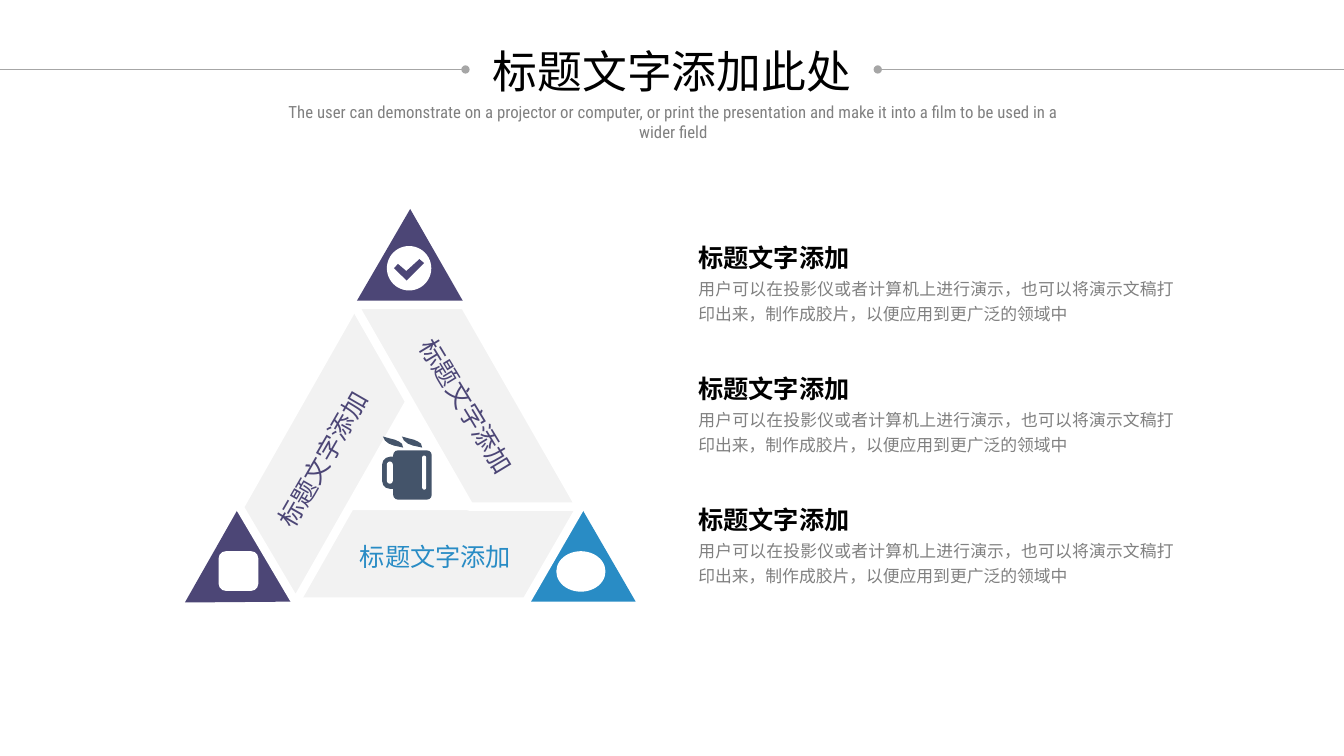
from lxml import etree
from pptx import Presentation
from pptx.dml.color import RGBColor
from pptx.enum.shapes import MSO_CONNECTOR, MSO_SHAPE
from pptx.enum.text import MSO_ANCHOR, MSO_AUTO_SIZE, PP_ALIGN
from pptx.oxml.ns import qn
from pptx.util import Cm, Pt

WHITE, BLACK, PALE, GREY, RULE = "FFFFFF", "000000", "F2F2F2", "808080", "A6A6A6"
PURPLE, BLUE, SLATE = "4C4676", "298CC5", "44546A"

TITLE = "标题文字添加此处"
SUBTITLE = ("The user can demonstrate on a projector or computer, or print the presentation "
            "and make it into a film to be used in a wider field")
HEADING = "标题文字添加"
DESCRIPTION = ("用户可以在投影仪或者计算机上进行演示，也可以将演示文稿打印出来，"
               "制作成胶片，以便应用到更广泛的领域中")
BLOCK_COUNT, BLOCK_LEFT, BLOCK_TOP, BLOCK_STEP = 3, 17.35, 5.84, 3.3

# Sides of the big triangle; positions are (left, top) in cm
SIDES = [
    {"corner": (13.23, 12.75), "band": (7.39, 12.75), "length": 7.26, "skew": 0.577,
     "turn": 0, "label": (8.08, 13.36), "label_turn": 0, "color": BLUE},
    {"corner": (5.0, 13.36), "band": (4.55, 10.19), "length": 7.32, "skew": 0.573,
     "turn": 119.6, "label": (5.18, 10.95), "label_turn": 299.9, "color": PURPLE},
    {"corner": (8.59, 5.87), "band": (8.15, 9.02), "length": 7.24, "skew": 0.573,
     "turn": 240.2, "label": (8.92, 9.6), "label_turn": 58.8, "color": PURPLE},
]
CORNER_WIDTH, BAND_HEIGHT = 2.79, 2.41
LABEL_SIZE = (5.79, 1.19)

# Icon parts: shape, box in cm, color, corner rounding
ICON_PARTS = [
    (MSO_SHAPE.OVAL, (14.02, 13.89, 1.24, 1.02), WHITE, None),
    (MSO_SHAPE.OVAL, (9.75, 6.2, 1.12, 1.12), WHITE, None),
    (MSO_SHAPE.ROUNDED_RECTANGLE, (5.51, 13.89, 1.0, 1.0), WHITE, 0.18),
    (MSO_SHAPE.ROUNDED_RECTANGLE, (9.63, 11.51, 0.5, 0.81), SLATE, 0.4),
    (MSO_SHAPE.ROUNDED_RECTANGLE, (9.75, 11.63, 0.15, 0.56), WHITE, 0.5),
    (MSO_SHAPE.ROUNDED_RECTANGLE, (9.91, 11.35, 0.97, 1.24), SLATE, 0.12),
    (MSO_SHAPE.ROUNDED_RECTANGLE, (10.64, 11.48, 0.1, 0.86), WHITE, 0.5),
]
CHECK = [(9.93, 6.76), (10.03, 6.65), (10.24, 6.83), (10.57, 6.53), (10.69, 6.63), (10.25, 7.07)]
STEAM = [(0, 0), (0.18, 0.05), (0.3, 0.08), (0.41, 0.13), (0.48, 0.18),
         (0.51, 0.28), (0.38, 0.25), (0.28, 0.23), (0.15, 0.18), (0.05, 0.1)]
STEAM_TOP, STEAM_LEFTS = 11.0, (9.65, 10.13)

RULE_TOP = 1.75
RULES = [(0, 11.73, "tailEnd"), (22.12, 33.87, "headEnd")]


def rgb(color):
    return RGBColor.from_string(color)


def paint(shape, color):
    """Give a shape a flat fill with neither outline nor shadow."""
    shape.shadow.inherit = False
    shape.fill.solid()
    shape.fill.fore_color.rgb = rgb(color)
    shape.line.fill.background()


def add_flat_shape(slide, kind, box, color, adjustment=None):
    shape = slide.shapes.add_shape(kind, *map(Cm, box))
    paint(shape, color)
    if adjustment is not None:
        shape.adjustments[0] = adjustment
    return shape


def add_outline(slide, points, color):
    points = [(Cm(x), Cm(y)) for x, y in points]
    builder = slide.shapes.build_freeform(*points[0], scale=1.0)
    builder.add_line_segments(points[1:], close=True)
    paint(builder.convert_to_shape(), color)


def write(shape, text, size, color, font="Arial", align=PP_ALIGN.CENTER,
          bold=False, spacing=None, wrap=True):
    frame = shape.text_frame
    frame.text = text
    frame.word_wrap = wrap
    frame.auto_size = MSO_AUTO_SIZE.SHAPE_TO_FIT_TEXT
    frame.vertical_anchor = MSO_ANCHOR.TOP
    paragraph = frame.paragraphs[0]
    paragraph.alignment = align
    if spacing:
        paragraph.line_spacing = spacing
    run_font = paragraph.runs[0].font
    run_font.name, run_font.size, run_font.bold = font, Pt(size), bold
    run_font.color.rgb = rgb(color)


def add_text(slide, box, *args, **options):
    text_box = slide.shapes.add_textbox(*map(Cm, box))
    write(text_box, *args, **options)
    return text_box


def add_header(slide):
    for start, end, dotted_end in RULES:
        rule = slide.shapes.add_connector(
            MSO_CONNECTOR.STRAIGHT, Cm(start), Cm(RULE_TOP), Cm(end), Cm(RULE_TOP))
        rule.line.color.rgb = rgb(RULE)
        rule.line.width = Pt(0.5)
        etree.SubElement(rule.line._get_or_add_ln(), qn("a:" + dotted_end), type="oval")
        etree.SubElement(rule._element.spPr, qn("a:effectLst"))
    title = slide.shapes.title
    title.left, title.top, title.width, title.height = map(Cm, (12.12, 0.97, 9.63, 1.63))
    write(title, TITLE, 32, BLACK, font="Roboto Condensed", wrap=False)
    add_text(slide, (6.99, 2.44, 19.96, 0.76), SUBTITLE, 12, GREY, font="Roboto Condensed")


def add_triangle_diagram(slide):
    for side in SIDES:
        corner = add_flat_shape(slide, MSO_SHAPE.ISOSCELES_TRIANGLE,
                                (*side["corner"], CORNER_WIDTH, BAND_HEIGHT), side["color"])
        band = add_flat_shape(slide, MSO_SHAPE.PARALLELOGRAM,
                              (*side["band"], side["length"], BAND_HEIGHT), PALE, side["skew"])
        band.line.color.rgb = rgb(WHITE)
        band.line.width = Pt(6)
        corner.rotation = band.rotation = side["turn"]
    for part in ICON_PARTS:
        add_flat_shape(slide, *part)
    add_outline(slide, CHECK, PURPLE)
    for left in STEAM_LEFTS:
        add_outline(slide, [(left + x, STEAM_TOP + y) for x, y in STEAM], SLATE)
    for side in SIDES:
        label = add_text(slide, (*side["label"], *LABEL_SIZE), HEADING, 18,
                         side["color"], spacing=1.2)
        label.rotation = side["label_turn"]


def add_text_blocks(slide):
    for index in range(BLOCK_COUNT):
        top = BLOCK_TOP + index * BLOCK_STEP
        add_text(slide, (BLOCK_LEFT, top + 0.97, 12.5, 1.5), DESCRIPTION, 12, GREY,
                 align=PP_ALIGN.JUSTIFY, spacing=1.2)
        add_text(slide, (BLOCK_LEFT, top, *LABEL_SIZE), HEADING, 18, BLACK,
                 align=PP_ALIGN.JUSTIFY, bold=True, spacing=1.2)


def main():
    presentation = Presentation()
    presentation.slide_width, presentation.slide_height = Cm(33.87), Cm(19.05)
    slide = presentation.slides.add_slide(presentation.slide_layouts[5])
    add_header(slide)
    add_triangle_diagram(slide)
    add_text_blocks(slide)
    presentation.save("out.pptx")


if __name__ == "__main__":
    main()
